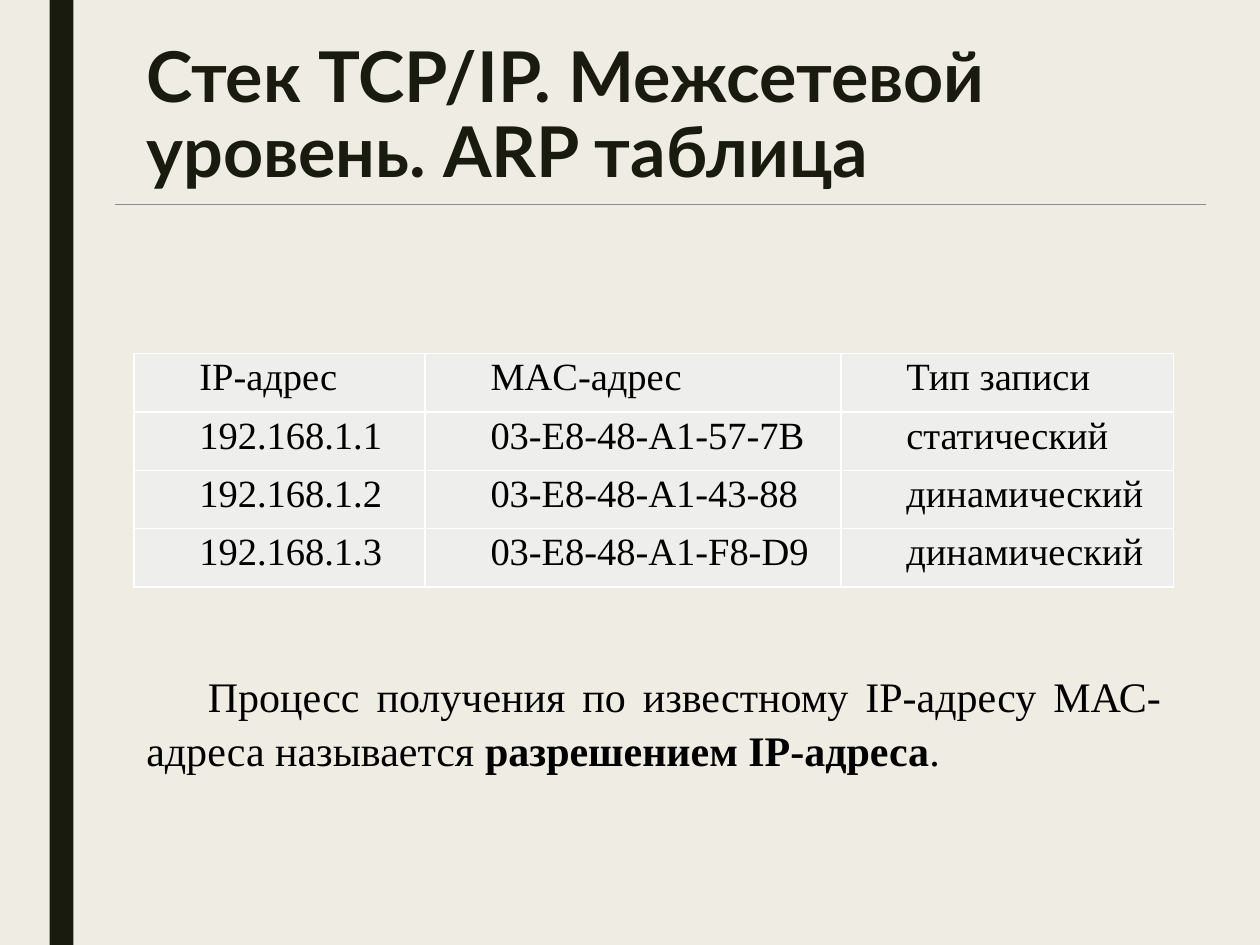
from pptx import Presentation, util as u
from pptx.dml.color import RGBColor
from pptx.enum import shapes, text
from pptx.oxml import parse_xml
from pptx.oxml.ns import nsdecls

Cm, Pt = u.Cm, u.Pt
DARK, BLACK, SERIF = "191B0E", "000000", "Times New Roman"
ROWS = [
    ("IP-адрес", "MAC-адрес", "Тип записи"),
    ("192.168.1.1", "03-E8-48-A1-57-7B", "статический"),
    ("192.168.1.2", "03-E8-48-A1-43-88", "динамический"),
    ("192.168.1.3", "03-E8-48-A1-F8-D9", "динамический"),
]


def paint(fmt, color):
    if hasattr(fmt, "solid"):
        fmt.solid()
        fmt = fmt.fore_color
    fmt.rgb = RGBColor.from_string(color)


def write(tf, *runs, size=24, font=SERIF, color=BLACK, spacing=1.07,
          align=text.PP_ALIGN.JUSTIFY, indent=1.24):
    tf.word_wrap = True
    p = tf.paragraphs[0]
    p.alignment = align
    p.line_spacing = spacing
    p.space_before = p.space_after = Pt(0)
    pPr = p._p.get_or_add_pPr()
    pPr.set("marL", "0")
    pPr.set("indent", str(Cm(indent)))
    for words, bold in runs:
        r = p.add_run()
        r.text = words
        r.font.size, r.font.name, r.font.bold = Pt(size), font, bold
        paint(r.font.color, color)


def add_frame(s, height):
    paint(s.background.fill, "EFEDE3")
    bar = s.shapes.add_shape(shapes.MSO_SHAPE.RECTANGLE, Cm(1), 0, Cm(0.48), height)
    bar.shadow.inherit = False
    paint(bar.fill, DARK)
    bar.line.fill.background()


def add_title(s, x, y, w, h):
    sp = s.shapes.title
    sp.left, sp.top, sp.width, sp.height = Cm(x), Cm(y), Cm(w), Cm(h)
    sp.text_frame.vertical_anchor = text.MSO_ANCHOR.TOP
    write(sp.text_frame, ("Стек TCP/IP. Межсетевой уровень. ARP таблица", True),
          size=40, font="Lato", color=DARK, spacing=0.89,
          align=text.PP_ALIGN.LEFT, indent=0)
    rule_y = Cm(y + 3.38)
    rule = s.shapes.add_connector(shapes.MSO_CONNECTOR.STRAIGHT,
                                  Cm(x - 0.38), rule_y, Cm(x + w - 0.18), rule_y)
    rule.line.width = Pt(0.5)
    paint(rule.line.fill, "8C8D86")
    rule._element.spPr.append(parse_xml(f"<a:effectLst {nsdecls('a')}/>"))


def add_borders(cell, color, width):
    tcPr = cell._tc.get_or_add_tcPr()
    for i, side in enumerate("LRTB"):
        tcPr.insert(i, parse_xml(
            f'<a:ln{side} {nsdecls("a")} w="{Pt(width)}"><a:solidFill>'
            f'<a:srgbClr val="{color}"/></a:solidFill></a:ln{side}>'))


def add_arp_table(s, x, y, w, h):
    table = s.shapes.add_table(len(ROWS), 3, Cm(x), Cm(y), Cm(w), Cm(h)).table
    for column, share in zip(table.columns, (0.28, 0.4, 0.32)):
        column.width = Cm(w * share)
    for i, row in enumerate(ROWS):
        for j, words in enumerate(row):
            cell = table.cell(i, j)
            cell.margin_left = cell.margin_right = Cm(0.08)
            cell.margin_top = cell.margin_bottom = 0
            paint(cell.fill, "EEEEED")
            add_borders(cell, "FFFFFF", 1)
            write(cell.text_frame, (words, False), size=22)


def add_definition(s, x, y, w, h):
    tf = s.shapes.add_textbox(Cm(x), Cm(y), Cm(w), Cm(h)).text_frame
    write(tf, ("Процесс получения по известному IP-адресу МАС-адреса называется ", False),
          ("разрешением IP-адреса", True), (".", False))


prs = Presentation()
prs.slide_width, prs.slide_height = Cm(25.4), Cm(19.05)
s = prs.slides.add_slide(prs.slide_layouts[5])
add_frame(s, prs.slide_height)
add_title(s, 2.7, 0.74, 21.8, 4.11)
add_arp_table(s, 2.7, 7.13, 20.96, 4.7)
add_definition(s, 2.7, 13.33, 20.96, 2.39)
prs.save("out.pptx")
